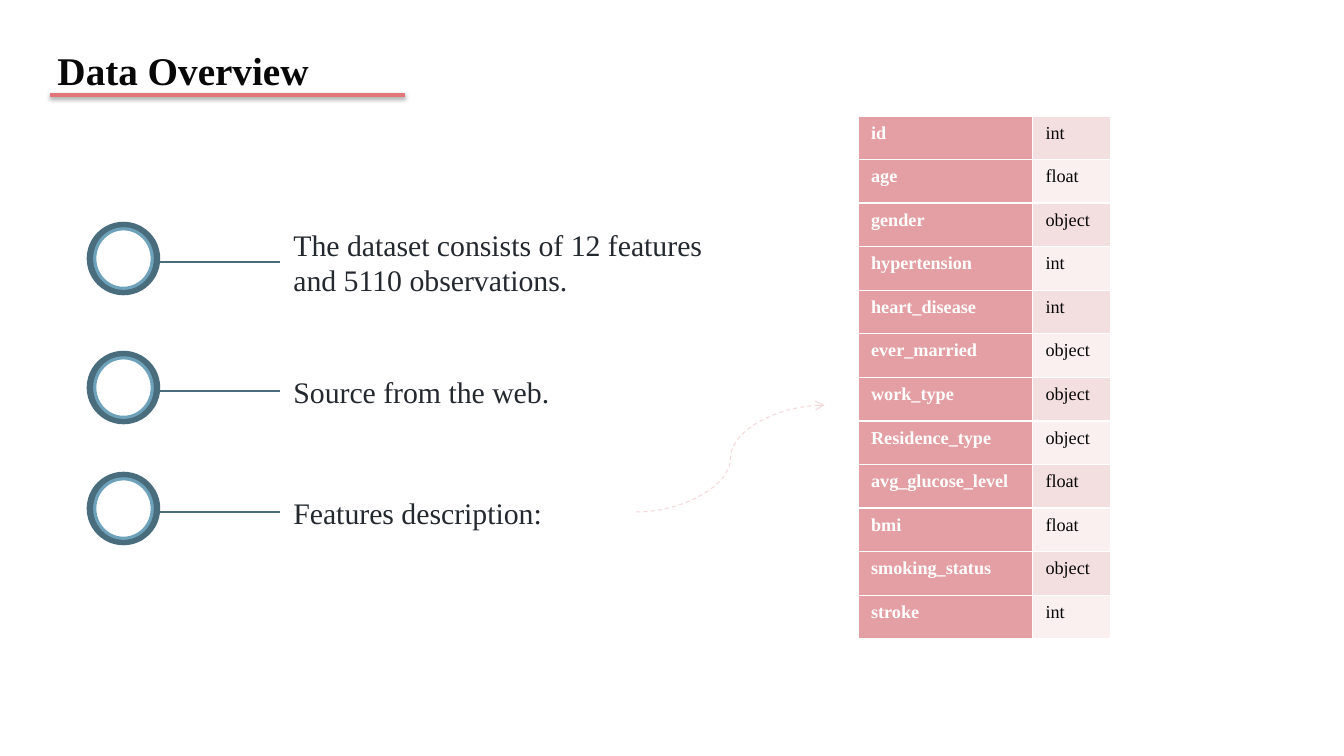
from lxml import etree
from pptx import Presentation
from pptx.dml.color import RGBColor
from pptx.enum.dml import MSO_LINE_DASH_STYLE as DASH
from pptx.enum.shapes import MSO_CONNECTOR as CONNECTOR, MSO_SHAPE as SHAPE
from pptx.enum.text import MSO_ANCHOR as ANCHOR, MSO_AUTO_SIZE as AUTO_SIZE, PP_ALIGN as ALIGN
from pptx.oxml import parse_xml
from pptx.oxml.ns import nsdecls, qn
from pptx.util import Inches, Pt

FONT = "Times New Roman"
COLORS = {
    "ink": "080808",
    "body": "24292F",
    "white": "FFFFFF",
    "slate": "4A6D7D",
    "ring": "6EA2BA",
    "rose": "E37678",
    "name_cell": "E39FA3",
    "band_dark": "F4DFE0",
    "band_light": "FAF0F0",
    "arrow": "F4D9DA",
}
POINTS = [
    ("The dataset consists of 12 features and 5110 observations.", 2.6, 4.39),
    ("Source from the web.", 3.88, 4.39),
    ("Features description:", 5.08, 3.53),
]
FEATURES = [
    ("id", "int"),
    ("age", "float"),
    ("gender", "object"),
    ("hypertension", "int"),
    ("heart_disease", "int"),
    ("ever_married", "object"),
    ("work_type", "object"),
    ("Residence_type", "object"),
    ("avg_glucose_level", "float"),
    ("bmi", "float"),
    ("smoking_status", "object"),
    ("stroke", "int"),
]


def color(name):
    return RGBColor.from_string(COLORS[name])


def write_text(text_frame, text, size, color_name, bold=False):
    text_frame.text = text
    paragraph = text_frame.paragraphs[0]
    paragraph.alignment = ALIGN.LEFT
    font = paragraph.runs[0].font
    font.name = FONT
    font.size = Pt(size)
    font.bold = bold
    font.color.rgb = color(color_name)


def format_frame(text_frame, anchor):
    text_frame.word_wrap = True
    text_frame.auto_size = AUTO_SIZE.NONE
    text_frame.vertical_anchor = anchor
    text_frame.margin_left = text_frame.margin_right = Inches(0.13)
    text_frame.margin_top = text_frame.margin_bottom = Inches(0.13)


def add_title(slide, text):
    title = slide.shapes.title
    title.left, title.top = Inches(0.44), Inches(0.28)
    title.width, title.height = Inches(5.2), Inches(0.78)
    format_frame(title.text_frame, ANCHOR.BOTTOM)
    write_text(title.text_frame, text, 28, "ink", bold=True)


def add_line(slide, start, end, color_name, width, kind=CONNECTOR.STRAIGHT):
    line = slide.shapes.add_connector(kind, *map(Inches, start + end))
    line.line.color.rgb = color(color_name)
    line.line.width = Pt(width)
    etree.SubElement(line._element.spPr, qn("a:effectLst"))
    return line


def add_underline(slide):
    underline = add_line(slide, (0.5, 0.94), (4.02, 0.94), "rose", 3)
    underline._element.spPr.find(qn("a:effectLst")).append(parse_xml(
        f'<a:outerShdw {nsdecls("a")} blurRad="{Pt(3.1)}" dist="{Pt(1.8)}" '
        'dir="5400000" rotWithShape="0"><a:srgbClr val="000000">'
        '<a:alpha val="35000"/></a:srgbClr></a:outerShdw>'))


def add_arrow(slide):
    arrow = add_line(slide, (6.31, 5.08), (8.18, 4.02), "arrow", 0.75, CONNECTOR.CURVE)
    arrow.line.dash_style = DASH.DASH
    etree.SubElement(arrow.line._get_or_add_ln(), qn("a:tailEnd"), type="arrow")


def add_disc(slide, left, top, width, height, fill):
    disc = slide.shapes.add_shape(SHAPE.OVAL, *map(Inches, (left, top, width, height)))
    disc.shadow.inherit = False
    disc.fill.solid()
    disc.fill.fore_color.rgb = color(fill)
    disc.line.fill.background()
    return disc


def add_point(slide, text, middle, width):
    box = slide.shapes.add_textbox(
        Inches(2.78), Inches(middle - 0.39), Inches(width), Inches(0.78))
    format_frame(box.text_frame, ANCHOR.MIDDLE)
    write_text(box.text_frame, text, 21.3, "body")
    add_line(slide, (1.55, middle), (2.78, middle), "slate", 1.5)
    add_disc(slide, 0.86, middle - 0.4, 0.73, 0.73, "slate")
    ring = add_disc(slide, 0.94, middle - 0.33, 0.57, 0.59, "white")
    ring.line.color.rgb = color("ring")
    ring.line.width = Pt(2.25)


def format_cell(cell, text, fill, text_color, bold):
    cell.margin_left = cell.margin_right = Inches(0.13)
    cell.margin_top = cell.margin_bottom = Inches(0.07)
    write_text(cell.text_frame, text, 13, text_color, bold)
    properties = cell._tc.get_or_add_tcPr()
    for side in ("lnL", "lnR", "lnT", "lnB"):
        properties.append(parse_xml(
            f'<a:{side} {nsdecls("a")} w="{Pt(1)}"><a:solidFill>'
            f'<a:srgbClr val="{COLORS["white"]}"/></a:solidFill></a:{side}>'))
    cell.fill.solid()
    cell.fill.fore_color.rgb = color(fill)


def add_feature_table(slide):
    table = slide.shapes.add_table(
        len(FEATURES), 2, Inches(8.51), Inches(1.15), Inches(2.51), Inches(5.19)).table
    table.first_row = False
    table.horz_banding = False
    table.columns[0].width = Inches(1.73)
    table.columns[1].width = Inches(0.78)
    for row, (name, kind) in enumerate(FEATURES):
        band = "band_light" if row % 2 else "band_dark"
        format_cell(table.cell(row, 0), name, "name_cell", "white", True)
        format_cell(table.cell(row, 1), kind, band, "ink", False)


def main():
    presentation = Presentation()
    presentation.slide_width = Inches(13.33)
    presentation.slide_height = Inches(7.5)
    slide = presentation.slides.add_slide(presentation.slide_layouts[5])
    add_title(slide, "Data Overview")
    add_feature_table(slide)
    for text, middle, width in POINTS:
        add_point(slide, text, middle, width)
    add_arrow(slide)
    add_underline(slide)
    presentation.save("out.pptx")


if __name__ == "__main__":
    main()
